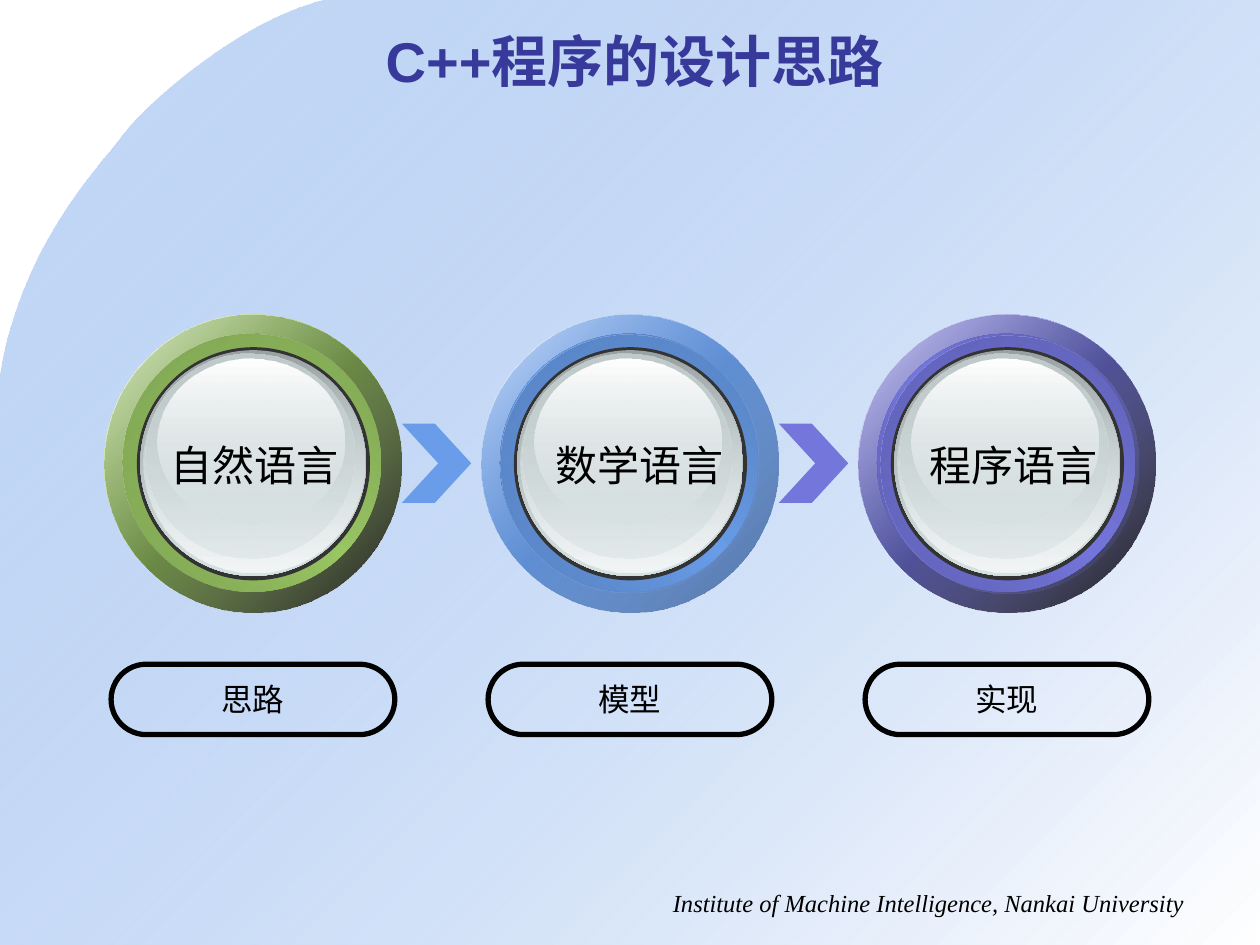
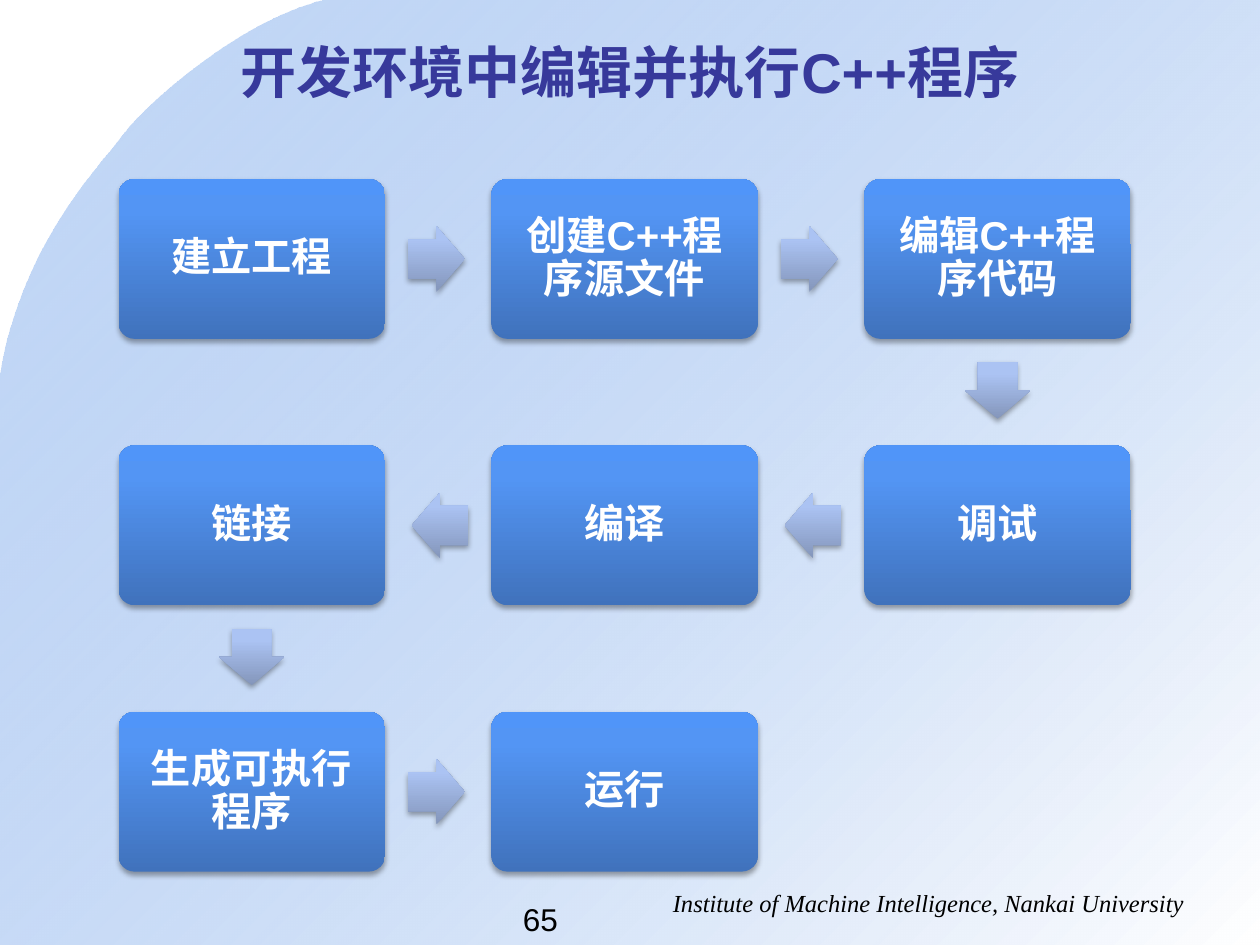
from dataclasses import dataclass

from lxml import etree
from pptx import Presentation
from pptx.dml.color import RGBColor
from pptx.enum.shapes import MSO_SHAPE
from pptx.enum.text import MSO_ANCHOR, MSO_AUTO_SIZE, PP_ALIGN
from pptx.oxml.ns import qn
from pptx.util import Cm, Pt

OVAL, CHEVRON = MSO_SHAPE.OVAL, MSO_SHAPE.CHEVRON
ROUNDED, ARROW = MSO_SHAPE.ROUNDED_RECTANGLE, MSO_SHAPE.RIGHT_ARROW
MIDDLE = MSO_ANCHOR.MIDDLE
FIXED_SIZE = MSO_AUTO_SIZE.NONE
LEFT, CENTER, RIGHT = PP_ALIGN.LEFT, PP_ALIGN.CENTER, PP_ALIGN.RIGHT
TITLE_ONLY = 5
WIDTH, HEIGHT = 25.4, 19.05


@dataclass(frozen=True)
class Theme:
    font: str = "Arial"
    pill_font: str = "DejaVu Sans"
    footer_font: str = "Times New Roman"
    title_size: int = 32
    label_size: int = 24
    step_size: int = 23
    body_size: int = 18
    footer_size: int = 14
    title: str = "37399B"
    text: str = "000000"
    light: str = "FFFFFF"
    rim: str = "333333"
    # Gradient stops are (position, colour, opacity in percent).
    backdrop: tuple = ((0, "699DE9", 39), (100, "FFFFFF", 100))
    step: tuple = ((0, "4072BC", 100), (80, "5395F4", 100), (100, "5095F9", 100))
    arrow: tuple = ((0, "8496BB", 100), (80, "ABC3F3", 100), (100, "AAC3F5", 100))
    glass: tuple = (
        ((0, "99A1A2", 100), (100, "D6E1E2", 100)),
        ((0, "D6E1E2", 0), (100, "F2F5F5", 100)),
        ((0, "C1CBCC", 100), (100, "D6E1E2", 48)),
        ((0, "FFFFFF", 100), (100, "D6E1E2", 38)),
    )


@dataclass(frozen=True)
class Stage:
    language: str
    role: str
    color: str
    edge: str
    sheen: str
    shade: tuple
    sheen_shift: float
    label_shift: float


THEME = Theme()
STAGES = (
    Stage("自然语言", "思路", "9AC664", "76984D", "7EA352", ("000000", 90), 0, 0.04),
    Stage("数学语言", "模型", "699DE9", "5078B2", "5681BF", ("4B70A7", 100), 0.02, 0.2),
    Stage("程序语言", "实现", "7476DC", "595AA8", "5F61B5", ("000000", 90), 0.07, 0.14),
)
# Each step is (text, column, row), in the order the arrows follow.
STEPS = (
    ("建立工程", 0, 0),
    ("创建C++程序源文件", 1, 0),
    ("编辑C++程序代码", 2, 0),
    ("调试", 2, 1),
    ("编译", 1, 1),
    ("链接", 0, 1),
    ("生成可执行程序", 0, 2),
    ("运行", 1, 2),
)
ROTATIONS = {(1, 0): 0, (0, 1): 90, (-1, 0): 180}


def fill_gradient(shape, stops, angle):
    shape.fill.background()
    properties = shape.element.spPr
    gradient = etree.Element(qn("a:gradFill"), rotWithShape="0")
    stop_list = etree.SubElement(gradient, qn("a:gsLst"))
    for position, color, opacity in stops:
        stop = etree.SubElement(stop_list, qn("a:gs"), pos=str(position * 1000))
        rgb = etree.SubElement(stop, qn("a:srgbClr"), val=color)
        if opacity < 100:
            etree.SubElement(rgb, qn("a:alpha"), val=str(opacity * 1000))
    etree.SubElement(gradient, qn("a:lin"), ang=str(angle * 60000), scaled="0")
    properties.replace(properties.find(qn("a:noFill")), gradient)


def paint(shape, fill, angle=0):
    """Fill with a colour, gradient stops or nothing; drop line and shadow."""
    shape.shadow.inherit = False
    shape.line.fill.background()
    if fill is None:
        shape.fill.background()
    elif isinstance(fill, str):
        shape.fill.solid()
        shape.fill.fore_color.rgb = RGBColor.from_string(fill)
    else:
        fill_gradient(shape, fill, angle)


def add_painted(shapes, preset, box, fill, angle=0):
    shape = shapes.add_shape(preset, *map(Cm, box))
    paint(shape, fill, angle)
    return shape


def drop_shadow(shape):
    effects = shape.element.spPr.find(qn("a:effectLst"))
    shadow = etree.SubElement(effects, qn("a:outerShdw"), blurRad="40000", dist="23000",
                              dir="5400000", rotWithShape="0")
    rgb = etree.SubElement(shadow, qn("a:srgbClr"), val="000000")
    etree.SubElement(rgb, qn("a:alpha"), val="35000")


def write(shape, text, size, color=THEME.text, font=THEME.font, align=CENTER,
          bold=False, italic=False):
    paragraph = shape.text_frame.paragraphs[0]
    paragraph.alignment = align
    run = paragraph.add_run()
    run.text = text
    run.font.name = font
    run.font.size = Pt(size)
    run.font.bold = bold
    run.font.italic = italic
    run.font.color.rgb = RGBColor.from_string(color)
    return paragraph


def curve_points(start, first, second, end, count=30):
    """Sample a cubic curve, leaving out its start."""
    for index in range(1, count + 1):
        t = index / count
        weights = ((1 - t) ** 3, 3 * t * (1 - t) ** 2, 3 * t * t * (1 - t), t ** 3)
        yield tuple(Cm(sum(weight * point[axis] for weight, point
                           in zip(weights, (start, first, second, end))))
                    for axis in (0, 1))


def add_backdrop(shapes):
    start, bend, end = (6.55, 0), (2.49, 2.72), (0, 7.65)
    builder = shapes.build_freeform(Cm(start[0]), Cm(start[1]))
    builder.add_line_segments([
        *curve_points(start, (4.83, 0.41), (2.95, 2.11), bend),
        *curve_points(bend, (2.03, 3.35), (0.41, 4.93), end),
        *((Cm(x), Cm(y)) for x, y in ((0, HEIGHT), (WIDTH, HEIGHT), (WIDTH, 0))),
    ])
    backdrop = builder.convert_to_shape()
    paint(backdrop, THEME.backdrop, 45)
    return backdrop


def add_footer(shapes):
    footer = shapes.add_textbox(Cm(12.27), Cm(17.78), Cm(11.86), Cm(0.86))
    footer.text_frame.word_wrap = True
    write(footer, "Institute of Machine Intelligence, Nankai University",
          THEME.footer_size, font=THEME.footer_font, align=RIGHT, italic=True)
    return footer


def decorate_layout(layout, slide):
    """Draw the shared parts on a slide, then hand them to its layout."""
    parts = add_backdrop(slide.shapes), add_footer(slide.shapes)
    for index, part in enumerate(parts, start=2):
        layout.shapes.element.insert(index, part.element)


def set_title(slide, text, box):
    title = slide.shapes.title
    title.left, title.top, title.width, title.height = map(Cm, box)
    title.text_frame.auto_size = FIXED_SIZE
    title.text_frame.vertical_anchor = MIDDLE
    write(title, text, THEME.title_size, THEME.title, bold=True)


def add_dial(shapes, left, top, size, stage):
    """Draw a coloured ring around a glass button with its label."""
    color, edge = stage.color, stage.edge
    shift = stage.sheen_shift
    rings = (
        (0, 0, size, ((0, THEME.light, 100), (50, color, 100), (100, THEME.light, 100)), 45),
        (0, 0, size, ((0, color, 32), (100, *stage.shade)), 45),
        (0.38, 0.39, 5.2, ((0, edge, 100), (50, color, 100), (100, edge, 100)), 315),
        (0.38 + shift, 0.39 + shift / 2, 5.2, ((0, stage.sheen, 100), (100, color, 0)), 45),
        (0.66, 0.66, 4.7, THEME.rim, 0),
    )
    for x, y, diameter, fill, angle in rings:
        add_painted(shapes, OVAL, (left + x, top + y, diameter, diameter), fill, angle)

    glass = shapes.add_group_shape()
    glass_boxes = ((0.73, 0.72, 4.55, 4.55), (0.8, 0.75, 4.45, 4.45),
                   (0.83, 0.78, 4.22, 4.14), (1.08, 0.89, 3.76, 3.35))
    for (x, y, width, height), stops in zip(glass_boxes, THEME.glass):
        add_painted(glass.shapes, OVAL, (left + x, top + y, width, height), stops, 90)

    label_width = 3.94
    label_left = left + (size - label_width) / 2 + stage.label_shift
    label = shapes.add_textbox(Cm(label_left), Cm(top + 2.39), Cm(label_width), Cm(1.27))
    label.text_frame.word_wrap = False
    write(label, stage.language, THEME.label_size)


def add_pill(shapes, left, top, text):
    pill = add_painted(shapes, ROUNDED, (left, top, 5.72, 1.42), None)
    pill.adjustments[0] = 0.5
    pill.line.color.rgb = RGBColor.from_string(THEME.text)
    pill.line.width = Pt(3)
    pill.text_frame.word_wrap = False
    pill.text_frame.vertical_anchor = MIDDLE
    write(pill, text, THEME.body_size, font=THEME.pill_font)


def add_stages(shapes, left, top):
    size, pitch = 6, 7.6
    chevron_width, chevron_height = 1.4, 1.6
    for index, stage in enumerate(STAGES):
        dial_left = left + index * pitch
        if index:
            chevron_box = (dial_left - pitch + size, top + (size - chevron_height) / 2,
                           chevron_width, chevron_height)
            chevron = add_painted(shapes, CHEVRON, chevron_box, stage.color)
            chevron.adjustments[0] = 0.525
        add_dial(shapes, dial_left, top, size, stage)
        add_pill(shapes, dial_left + 0.14, top + 7.05, stage.role)


def add_step(shapes, box, text):
    step = add_painted(shapes, ROUNDED, box, THEME.step, 270)
    step.adjustments[0] = 0.1
    drop_shadow(step)
    frame = step.text_frame
    frame.word_wrap = True
    frame.vertical_anchor = MIDDLE
    frame.margin_left = frame.margin_right = Cm(0.25)
    frame.margin_top = frame.margin_bottom = Cm(0.25)
    paragraph = write(step, text, THEME.step_size, THEME.light, bold=True)
    paragraph.line_spacing = 0.9


def add_step_arrow(shapes, center_x, center_y, direction):
    width, height = 1.14, 1.32
    box = (center_x - width / 2, center_y - height / 2, width, height)
    arrow = add_painted(shapes, ARROW, box, THEME.arrow, 270)
    arrow.adjustments[0], arrow.adjustments[1] = 0.6, 0.5
    arrow.rotation = ROTATIONS[direction]
    drop_shadow(arrow)


def add_step_flow(shapes, left, top, width):
    """Lay the steps on a winding grid, with an arrow from each to the next."""
    height, column_pitch, row_pitch = 0.6 * width, 1.4 * width, width
    arrow_reach = 1.04
    for index, (text, column, row) in enumerate(STEPS):
        x, y = left + column * column_pitch, top + row * row_pitch
        add_step(shapes, (x, y, width, height), text)
        if index + 1 < len(STEPS):
            next_column, next_row = STEPS[index + 1][1:]
            across, down = next_column - column, next_row - row
            add_step_arrow(shapes,
                           x + width / 2 + across * (width / 2 + arrow_reach),
                           y + height / 2 + down * (height / 2 + arrow_reach),
                           (across, down))


def add_page_number(shapes, number):
    box = shapes.add_textbox(Cm(10.29), Cm(18.01), Cm(4.6), Cm(0.81))
    box.text_frame.word_wrap = True
    write(box, number, THEME.body_size, align=LEFT)


def main():
    presentation = Presentation()
    presentation.slide_width, presentation.slide_height = Cm(WIDTH), Cm(HEIGHT)
    layout = presentation.slide_layouts[TITLE_ONLY]

    design_slide = presentation.slides.add_slide(layout)
    decorate_layout(layout, design_slide)
    set_title(design_slide, "C++程序的设计思路", (1.27, 0.43, 23.06, 1.57))
    add_stages(design_slide.shapes, 2.1, 6.34)

    workflow_slide = presentation.slides.add_slide(layout)
    set_title(workflow_slide, "开发环境中编辑并执行C++程序", (1.27, 0.64, 22.86, 1.57))
    add_page_number(workflow_slide.shapes, "65")
    add_step_flow(workflow_slide.shapes, 2.39, 3.61, 5.37)

    presentation.save("out.pptx")


if __name__ == "__main__":
    main()
